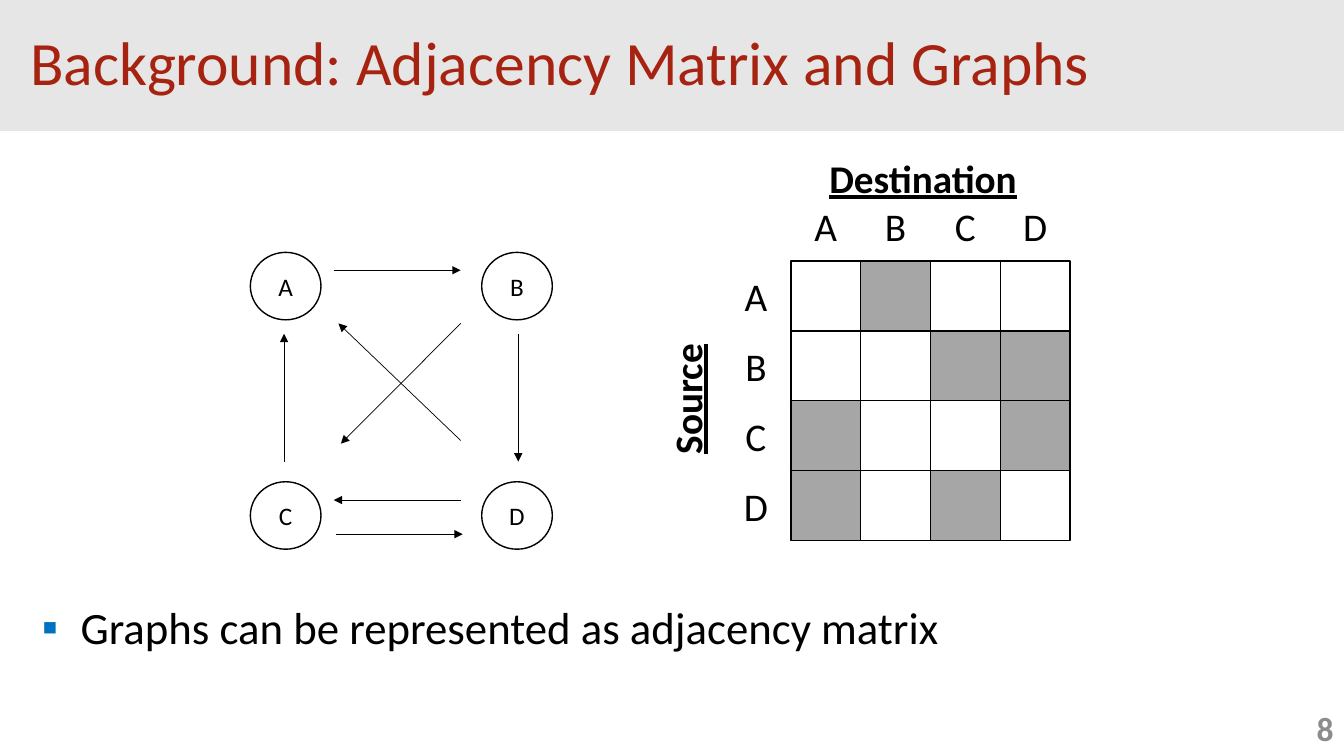
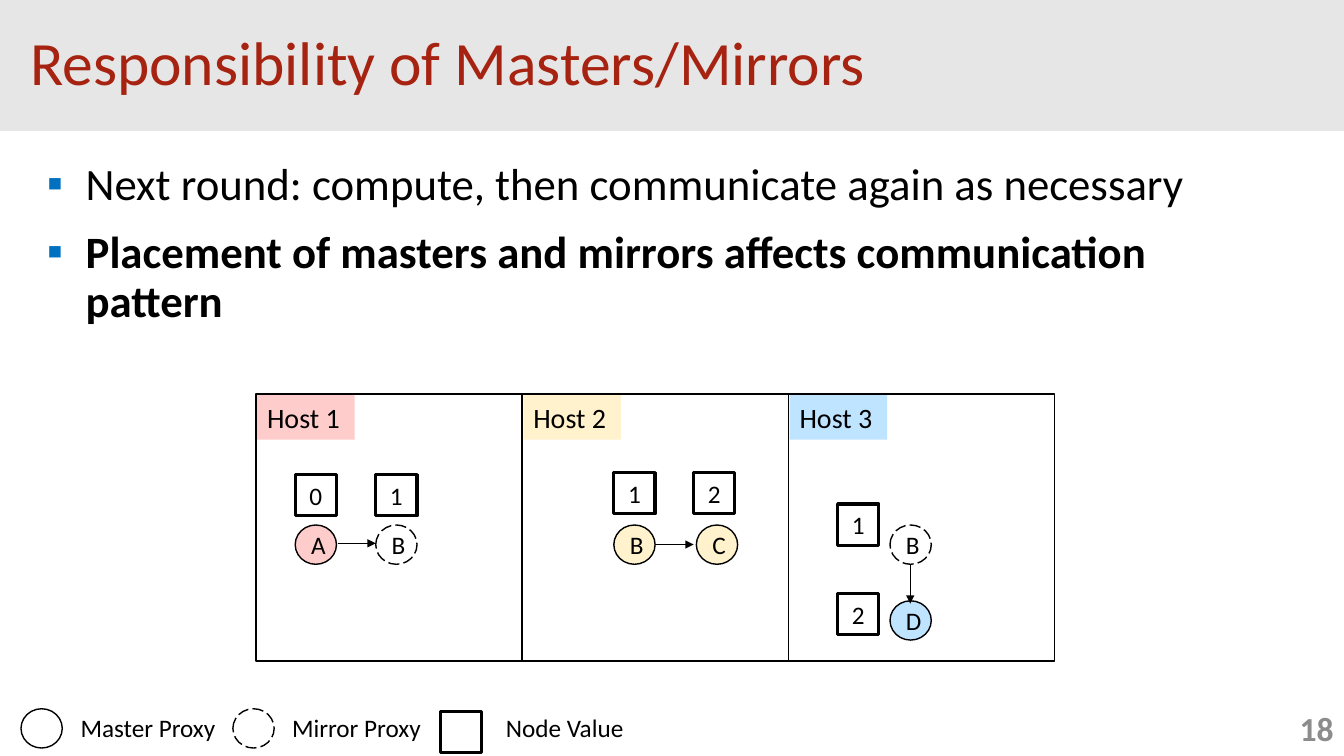
from dataclasses import dataclass

from lxml.etree import SubElement
from pptx import Presentation
from pptx.dml.color import RGBColor
from pptx.enum.dml import MSO_LINE_DASH_STYLE as Dash
from pptx.enum.shapes import MSO_CONNECTOR as Connector
from pptx.enum.shapes import MSO_SHAPE as Preset
from pptx.enum.text import MSO_ANCHOR as Anchor
from pptx.enum.text import PP_ALIGN as Align
from pptx.oxml.ns import qn
from pptx.util import Cm, Pt


@dataclass(frozen=True)
class Theme:
    font: str = "Calibri"
    ink: str = "000000"
    paper: str = "FFFFFF"
    band: str = "E7E6E6"
    title: str = "A72311"
    bullet: str = "0070C0"
    number: str = "8C8C8C"
    edge: str = "A6A6A6"
    red: str = "FFCCCC"
    yellow: str = "FFF2CC"
    blue: str = "BFE4FF"
    title_size: float = 44
    body_size: float = 32
    matrix_size: float = 28
    number_size: float = 24
    host_size: float = 20
    label_size: float = 18
    thin: float = 0.5
    normal: float = 1
    thick: float = 2.25


THEME = Theme()
WIDTH, HEIGHT = 33.87, 19.05

GRAPH_NODES = [("A", 6.31, 6.36), ("B", 12.14, 6.36), ("C", 6.31, 12.14), ("D", 12.14, 12.14)]
GRAPH_NODE_SIZE = (1.78, 1.7)
GRAPH_ARROWS = [
    (8.41, 6.81, 11.61, 6.81),
    (11.61, 8.15, 8.59, 11.18),
    (11.61, 11.1, 8.53, 8.15),
    (7.16, 11.63, 7.16, 8.41),
    (11.61, 12.6, 8.41, 12.6),
    (8.46, 13.46, 11.66, 13.46),
    (13.06, 8.41, 13.06, 11.63),
]
MATRIX_NAMES = "ABCD"
MATRIX_EDGES = {"A": "B", "B": "CD", "C": "AD", "D": "AC"}
MATRIX_LEFT, MATRIX_TOP, CELL = 19.93, 6.58, 1.76
AXES = [("Source", (15.65, 9.3, 3.33, 1.45), 270), ("Destination", (20.65, 3.76, 5.31, 1.45), 0)]

HOSTS = [("Host 1", THEME.red), ("Host 2", THEME.yellow), ("Host 3", THEME.blue)]
HOST_LEFT, HOST_TOP, HOST_WIDTH, HOST_HEIGHT = 6.45, 9.93, 6.71, 6.73
MASTERS = [
    ("A", 7.44, 13.23, THEME.red),
    ("B", 15.47, 13.23, THEME.yellow),
    ("C", 17.55, 13.23, THEME.yellow),
    ("D", 22.43, 15.14, THEME.blue),
]
MIRRORS = [("B", 9.47, 13.23), ("B", 22.43, 13.23)]
VALUES = [
    ("0", 7.44, 11.96),
    ("1", 9.47, 11.96),
    ("1", 15.47, 11.91),
    ("2", 17.48, 11.91),
    ("1", 21.11, 12.7),
    ("2", 21.11, 14.96),
]
PROXY_ARROWS = [
    (8.51, 13.69, 9.47, 13.69),
    (16.51, 13.72, 17.48, 13.72),
    (22.94, 14.22, 22.94, 15.21),
]
LEGEND = [("Master Proxy", 1.78, 3.94), ("Mirror Proxy", 7.11, 3.78), ("Node Value", 12.5, 3.5)]


def color(value):
    return RGBColor.from_string(value)


def write(para, text, size, ink=THEME.ink, bold=False, underline=False):
    span = para.add_run()
    span.text = text
    font = span.font
    font.name, font.size = THEME.font, Pt(size)
    font.bold, font.underline = bold, underline
    font.color.rgb = color(ink)


def add_shape(page, preset, place, fill=None, line=None, dash=None):
    shape = page.shapes.add_shape(preset, *map(Cm, place))
    shape.shadow.inherit = False
    if fill:
        shape.fill.solid()
        shape.fill.fore_color.rgb = color(fill)
    else:
        shape.fill.background()
    if line:
        shape.line.color.rgb = color(THEME.ink)
        shape.line.width = Pt(line)
        if dash:
            shape.line.dash_style = dash
    else:
        shape.line.fill.background()
    return shape


def fill_text(shape, text, size, align=Align.CENTER, anchor=Anchor.MIDDLE, **style):
    frame = shape.text_frame
    frame.vertical_anchor = anchor
    para = frame.paragraphs[0]
    para.alignment = align
    write(para, text, size, **style)
    return para


def add_label(page, place, text, size, wrap=True, **style):
    box = page.shapes.add_textbox(*map(Cm, place))
    box.text_frame.word_wrap = wrap
    fill_text(box, text, size, **style)
    return box


def add_arrow(page, ends):
    arrow = page.shapes.add_connector(Connector.STRAIGHT, *map(Cm, ends))
    arrow.line.color.rgb = color(THEME.ink)
    arrow.line.width = Pt(THEME.thin)
    SubElement(arrow.line._get_or_add_ln(), qn("a:tailEnd"), type="triangle")
    SubElement(arrow._element.spPr, qn("a:effectLst"))


def add_bullets(page, place, items):
    frame = page.shapes.add_textbox(*map(Cm, place)).text_frame
    frame.word_wrap = True
    for index, (text, bold) in enumerate(items):
        para = frame.add_paragraph() if index else frame.paragraphs[0]
        para.line_spacing = 0.9
        para.space_before, para.space_after = Pt(10), Pt(4)
        properties = para._p.get_or_add_pPr()
        properties.set("marL", str(Cm(0.97)))
        properties.set("indent", str(-Cm(0.97)))
        tint = SubElement(properties, qn("a:buClr"))
        SubElement(tint, qn("a:srgbClr"), val=THEME.bullet)
        SubElement(properties, qn("a:buFont"), typeface=THEME.font)
        SubElement(properties, qn("a:buChar"), char="▪")
        write(para, text, THEME.body_size, bold=bold)


def add_page(deck, title, number):
    page = deck.slides.add_slide(deck.slide_layouts[6])
    band = add_shape(page, Preset.RECTANGLE, (0, 0, WIDTH, 3.3), THEME.band)
    band.text_frame.margin_left = Cm(0.76)
    para = fill_text(band, title, THEME.title_size, Align.LEFT, ink=THEME.title)
    para.line_spacing = 0.9
    add_label(page, (31.14, 17.65, 2.72, 1.4), number, THEME.number_size,
              align=Align.RIGHT, ink=THEME.number, bold=True)
    return page


def add_master(page, left, top, fill=None):
    return add_shape(page, Preset.OVAL, (left, top, 1.04, 0.99), fill, THEME.normal)


def add_mirror(page, left, top):
    return add_shape(page, Preset.OVAL, (left, top, 1.04, 0.99), None, THEME.normal, Dash.LONG_DASH)


def add_value(page, left, top):
    return add_shape(page, Preset.RECTANGLE, (left, top, 1.04, 1.04), THEME.paper, THEME.thick)


def add_graph(page):
    for name, left, top in GRAPH_NODES:
        node = add_shape(page, Preset.OVAL, (left, top, *GRAPH_NODE_SIZE), line=THEME.normal)
        fill_text(node, name, THEME.label_size)
    for ends in GRAPH_ARROWS:
        add_arrow(page, ends)


def add_matrix(page):
    def cell_place(row, column):
        return MATRIX_LEFT + column * CELL, MATRIX_TOP + row * CELL, CELL, CELL

    for row, source in enumerate(MATRIX_NAMES):
        add_label(page, cell_place(row, -1), source, THEME.matrix_size)
        add_label(page, cell_place(-1, row), source, THEME.matrix_size)
        for column, target in enumerate(MATRIX_NAMES):
            fill = THEME.edge if target in MATRIX_EDGES[source] else THEME.paper
            add_shape(page, Preset.RECTANGLE, cell_place(row, column), fill, THEME.normal)
    for text, place, rotation in AXES:
        axis = add_label(page, place, text, THEME.matrix_size, wrap=False, align=Align.LEFT,
                         anchor=Anchor.TOP, bold=True, underline=True)
        axis.rotation = rotation


def add_hosts(page):
    for index, (name, fill) in enumerate(HOSTS):
        left = HOST_LEFT + index * HOST_WIDTH
        add_shape(page, Preset.RECTANGLE, (left, HOST_TOP, HOST_WIDTH, HOST_HEIGHT), line=THEME.normal)
        tag = add_shape(page, Preset.RECTANGLE, (left + 0.03, HOST_TOP + 0.03, 2.46, 1.12), fill)
        fill_text(tag, name, THEME.host_size, Align.LEFT, Anchor.TOP)
    for add_mark, marks in ((add_master, MASTERS), (add_mirror, MIRRORS), (add_value, VALUES)):
        for text, *details in marks:
            fill_text(add_mark(page, *details), text, THEME.label_size)
    for ends in PROXY_ARROWS:
        add_arrow(page, ends)


def add_legend(page):
    add_master(page, 0.53, 17.86)
    add_mirror(page, 5.87, 17.86)
    add_value(page, 11.1, 17.93)
    for text, left, width in LEGEND:
        add_label(page, (left, 17.83, width, 1.02), text, THEME.label_size,
                  wrap=False, align=Align.LEFT, anchor=Anchor.TOP)


def main():
    deck = Presentation()
    deck.slide_width, deck.slide_height = Cm(WIDTH), Cm(HEIGHT)

    page = add_page(deck, "Background: Adjacency Matrix and Graphs", "8")
    add_bullets(page, (0.81, 15.14, 31.67, 2.46),
                [("Graphs can be represented as adjacency matrix", False)])
    add_graph(page)
    add_matrix(page)

    page = add_page(deck, "Responsibility of Masters/Mirrors", "18")
    add_bullets(page, (0.94, 3.96, 31.67, 5.26), [
        ("Next round: compute, then communicate again as necessary", False),
        ("Placement of masters and mirrors affects communication pattern", True),
    ])
    add_legend(page)
    add_hosts(page)

    deck.save("out.pptx")


if __name__ == "__main__":
    main()
